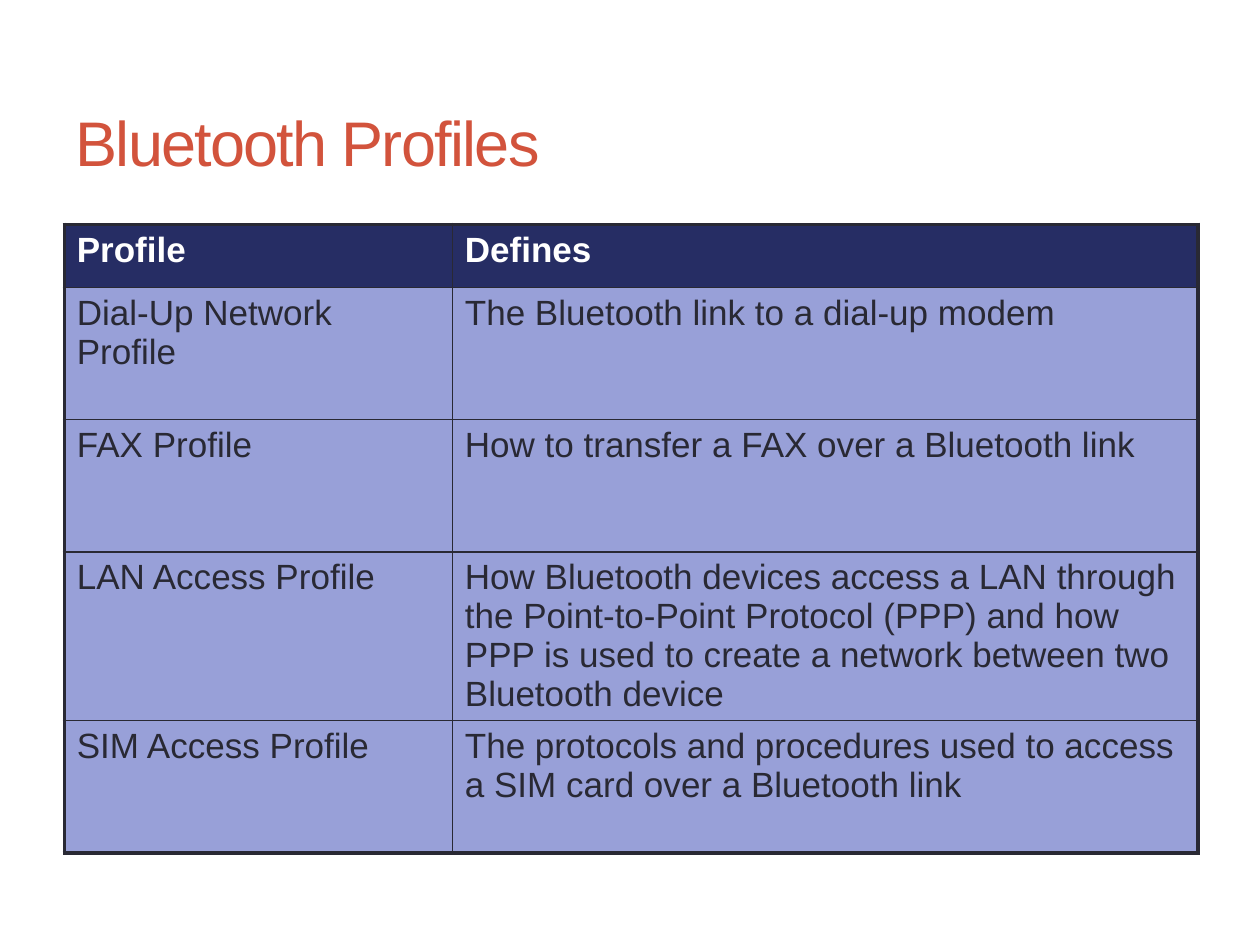
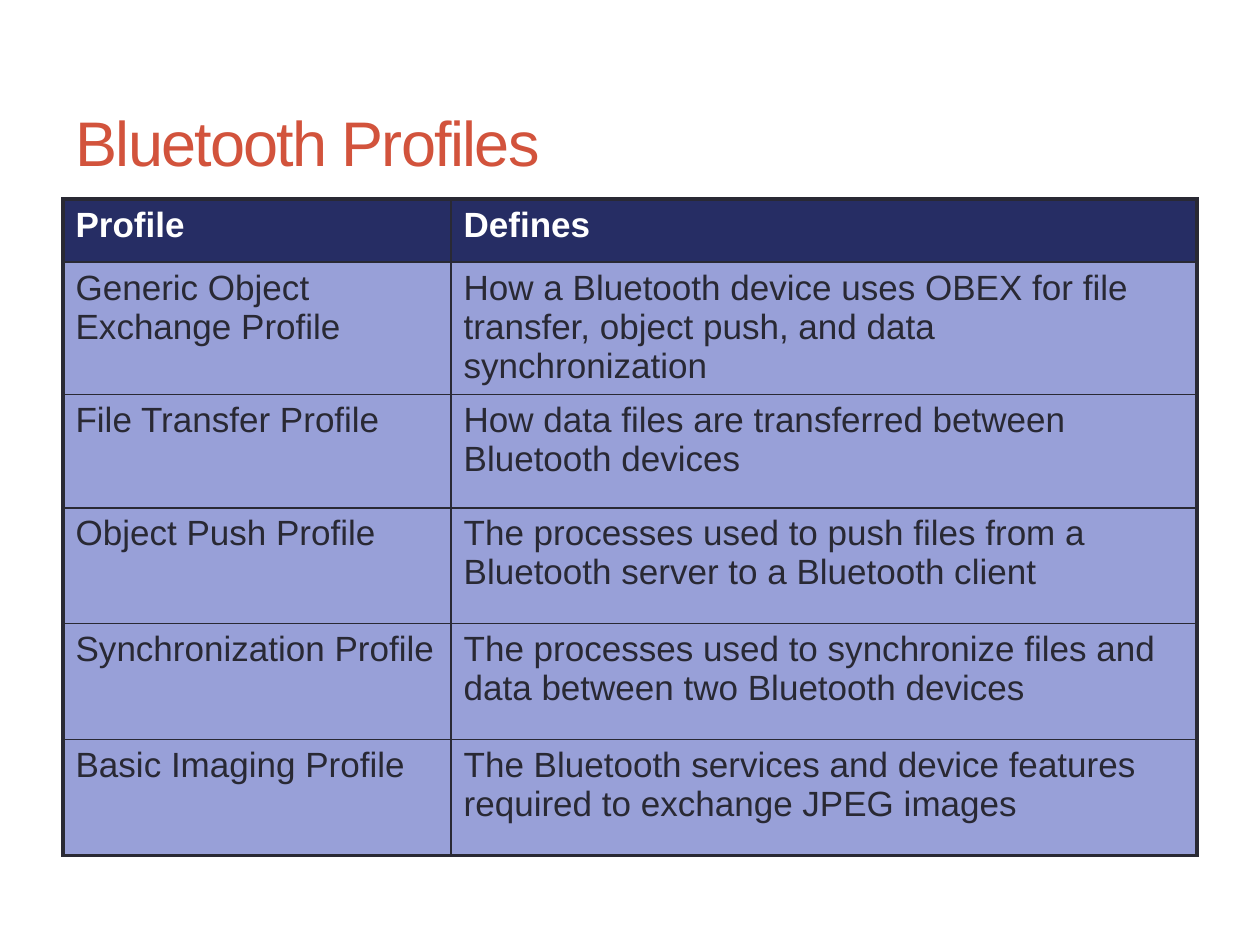
import lxml.etree
import pptx
import pptx.dml.color
import pptx.enum.text
import pptx.oxml.ns
import pptx.util

# Shared look
FONT = "Arial"
TITLE_RED = pptx.dml.color.RGBColor(0xD2, 0x53, 0x3C)
HEADER_NAVY = pptx.dml.color.RGBColor(0x26, 0x2D, 0x64)
BODY_LILAC = pptx.dml.color.RGBColor(0x98, 0xA0, 0xD8)
INK = pptx.dml.color.RGBColor(0x29, 0x29, 0x34)
WHITE = pptx.dml.color.RGBColor(0xFF, 0xFF, 0xFF)
OUTER_LINE = pptx.util.Pt(2.25)
INNER_LINE = pptx.util.Pt(1)

# Shared grid, in inches
MARGIN = 0.5
COLUMNS = (3.08, 5.92)
HEADER_HEIGHT = 0.5

# Each slide: table left and top, then (row height, profile, definition)
HEADER = (HEADER_HEIGHT, "Profile", "Defines")
PROFILE_SLIDES = [
    (0.51, 1.78, [
        (1.05, "Dial-Up Network Profile", "The Bluetooth link to a dial-up modem"),
        (1.05, "FAX Profile", "How to transfer a FAX over a Bluetooth link"),
        (1.05, "LAN Access Profile",
         "How Bluetooth devices access a LAN through the Point-to-Point Protocol (PPP) "
         "and how PPP is used to create a network between two Bluetooth device"),
        (1.05, "SIM Access Profile",
         "The protocols and procedures used to access a SIM card over a Bluetooth link"),
    ]),
    (MARGIN, 1.58, [
        (1.05, "Generic Object Exchange Profile",
         "How a Bluetooth device uses OBEX for file transfer, object push, "
         "and data synchronization"),
        (0.9, "File Transfer Profile",
         "How data files are transferred between Bluetooth devices"),
        (0.92, "Object Push Profile",
         "The processes used to push files from a Bluetooth server to a Bluetooth client"),
        (0.92, "Synchronization Profile",
         "The processes used to synchronize files and data between two Bluetooth devices"),
        (0.92, "Basic Imaging Profile",
         "The Bluetooth services and device features required to exchange JPEG images"),
    ]),
]


def add_text(paragraph, text, size, color, bold=False):
    paragraph.alignment = pptx.enum.text.PP_ALIGN.LEFT
    run = paragraph.add_run()
    run.text = text
    run.font.name = FONT
    run.font.size = pptx.util.Pt(size)
    run.font.bold = bold
    run.font.color.rgb = color
    return run


def add_borders(cell, outer_sides):
    properties = cell._tc.get_or_add_tcPr()
    for side in "LRTB":
        width = OUTER_LINE if side in outer_sides else INNER_LINE
        line = lxml.etree.SubElement(
            properties, pptx.oxml.ns.qn(f"a:ln{side}"), w=str(int(width)))
        fill = lxml.etree.SubElement(line, pptx.oxml.ns.qn("a:solidFill"))
        lxml.etree.SubElement(fill, pptx.oxml.ns.qn("a:srgbClr"), val=str(INK))


deck = pptx.Presentation()
deck.slide_width = pptx.util.Inches(10)
deck.slide_height = pptx.util.Inches(7.5)

# Title position, inherited by every slide
title_only = deck.slide_layouts[5]
layout_title = title_only.placeholders[0]
layout_title.left = pptx.util.Inches(MARGIN)
layout_title.top = pptx.util.Inches(0.58)
layout_title.width = pptx.util.Inches(sum(COLUMNS))
layout_title.height = pptx.util.Inches(1.08)
layout_title.text_frame.vertical_anchor = pptx.enum.text.MSO_ANCHOR.MIDDLE

for left, top, profiles in PROFILE_SLIDES:
    slide = deck.slides.add_slide(title_only)

    # Title
    heading = add_text(slide.shapes.title.text_frame.paragraphs[0],
                       "Bluetooth Profiles", 36, TITLE_RED)
    heading.font._element.set("spc", "-100")

    # Profile table
    rows = [HEADER] + profiles
    table_height = sum(row[0] for row in rows)
    profile_table = slide.shapes.add_table(
        len(rows), len(COLUMNS), pptx.util.Inches(left), pptx.util.Inches(top),
        pptx.util.Inches(sum(COLUMNS)), pptx.util.Inches(table_height)).table
    profile_table.horz_banding = False
    for column, width in zip(profile_table.columns, COLUMNS):
        column.width = pptx.util.Inches(width)

    for row_index, (height, *texts) in enumerate(rows):
        profile_table.rows[row_index].height = pptx.util.Inches(height)
        is_header = row_index == 0
        row_sides = "T" if is_header else "B" if row_index == len(rows) - 1 else ""
        for column_index, text in enumerate(texts):
            cell = profile_table.cell(row_index, column_index)
            add_borders(cell, row_sides + "LR"[column_index])
            cell.fill.solid()
            cell.fill.fore_color.rgb = HEADER_NAVY if is_header else BODY_LILAC
            add_text(cell.text_frame.paragraphs[0], text, 20,
                     WHITE if is_header else INK, bold=is_header)

deck.save("out.pptx")
